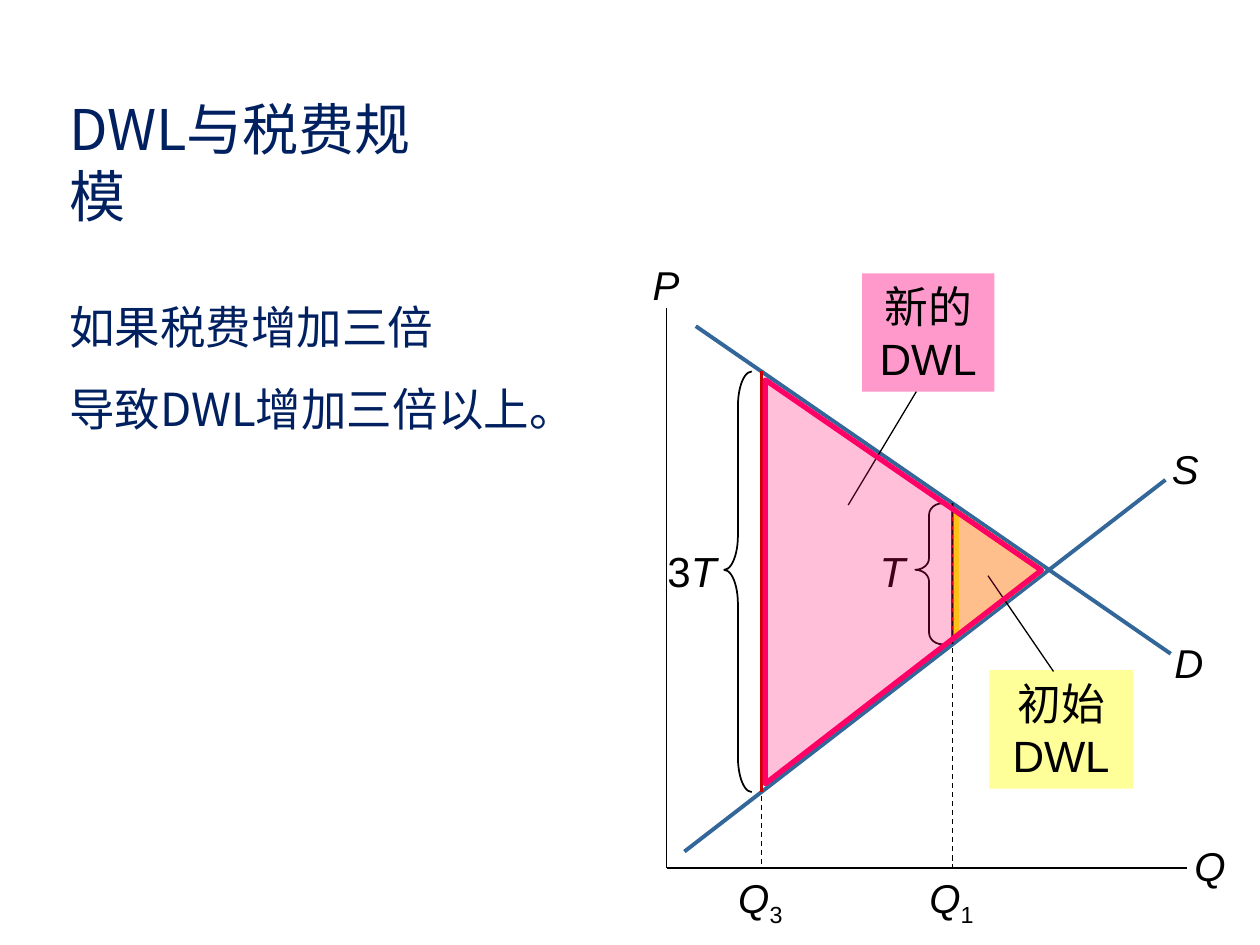
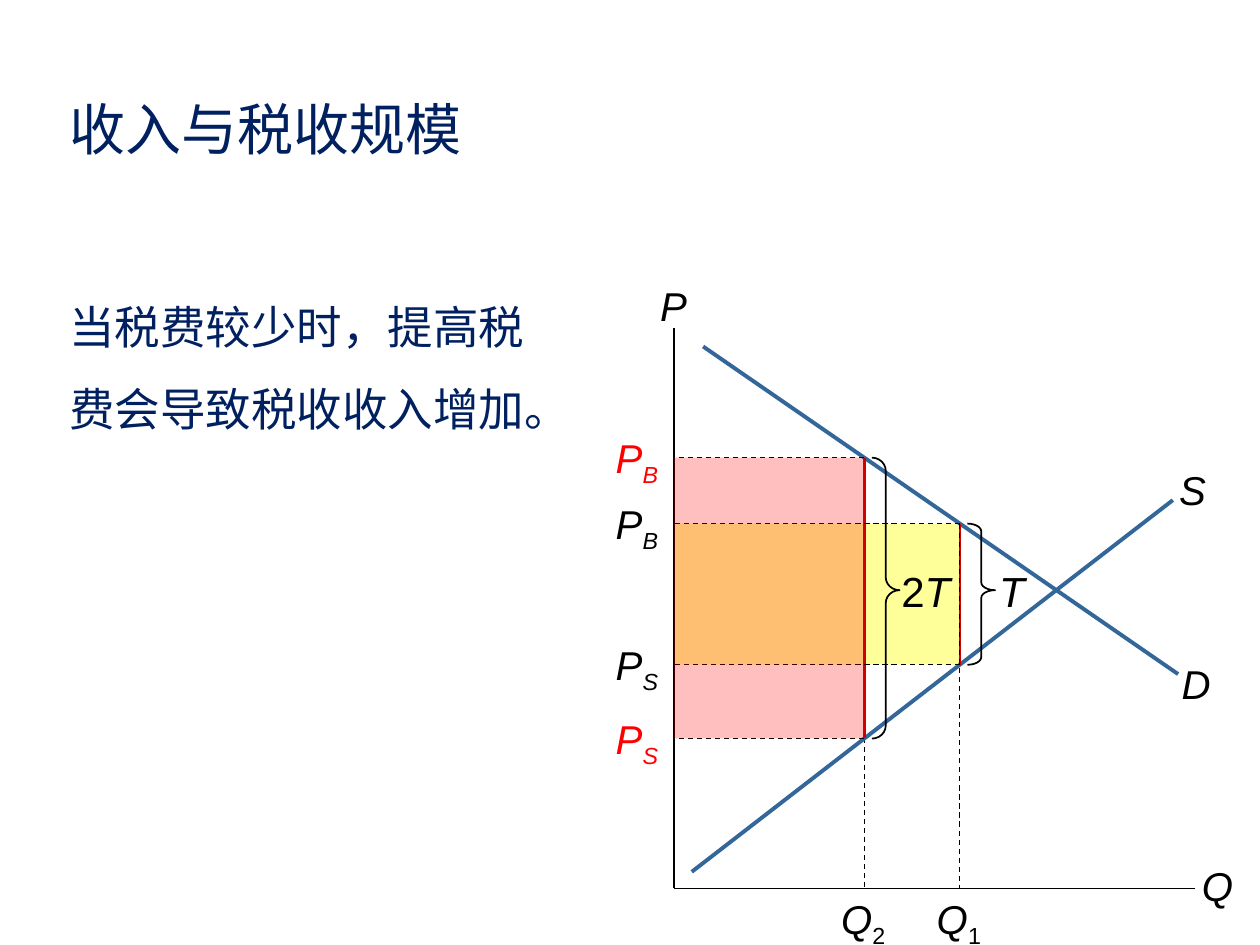
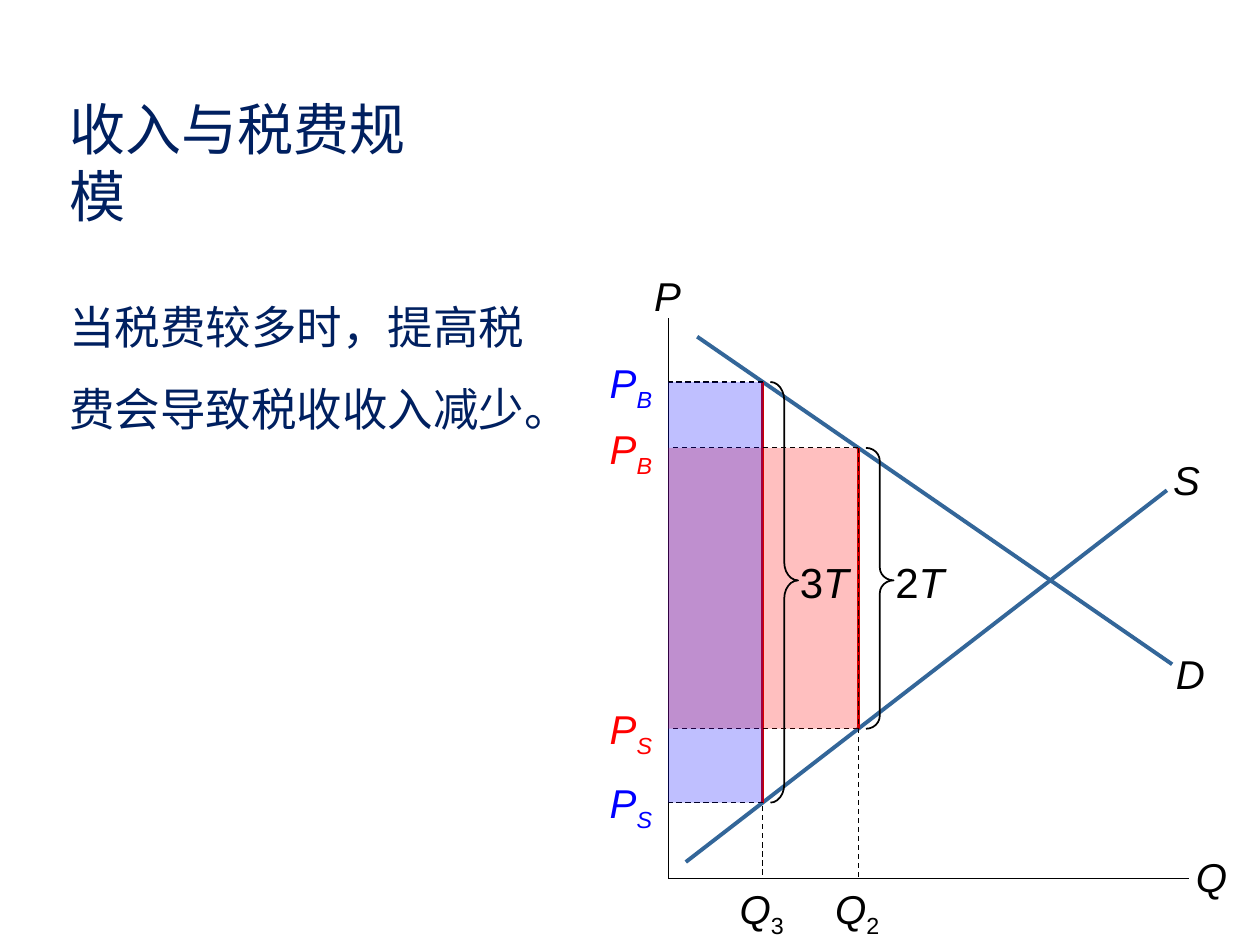
from dataclasses import dataclass
from typing import NamedTuple

from lxml import etree
from pptx import Presentation
from pptx.dml.color import RGBColor
from pptx.enum.dml import MSO_LINE
from pptx.enum.shapes import MSO_CONNECTOR, MSO_SHAPE
from pptx.enum.text import MSO_ANCHOR, MSO_AUTO_SIZE, PP_ALIGN
from pptx.oxml.ns import qn
from pptx.util import Pt

STRAIGHT = MSO_CONNECTOR.STRAIGHT
RECT, TRIANGLE, BRACE = MSO_SHAPE.RECTANGLE, MSO_SHAPE.ISOSCELES_TRIANGLE, MSO_SHAPE.LEFT_BRACE
LEFT, CENTER = PP_ALIGN.LEFT, PP_ALIGN.CENTER
TOP, GROW, DASH = MSO_ANCHOR.TOP, MSO_AUTO_SIZE.SHAPE_TO_FIT_TEXT, MSO_LINE.DASH

COLORS = {
    "navy": "002060", "black": "000000", "curve": "336699", "tax": "CC0000",
    "cream": "FFFF99", "yellow": "FFFF00", "pink": "FF99CC", "rose": "FF0066",
    "red": "FF0000", "blue": "0000FF",
}
SANS, HAN = "Arial", "Noto Sans CJK SC"
CLEAR = 25  # percent opacity of a see-through fill


class Box(NamedTuple):
    left: float
    top: float
    width: float
    height: float


class Spot(NamedTuple):
    """A point in graph units: right of and above the origin."""
    x: float
    y: float


class Run(NamedTuple):
    text: str
    italic: bool = False
    sub: bool = False


class Curve(NamedTuple):
    start: Spot
    end: Spot

    def slope(self) -> float:
        return (self.end.y - self.start.y) / (self.end.x - self.start.x)

    def price(self, x: float) -> float:
        return self.start.y + self.slope() * (x - self.start.x)


@dataclass
class Tax:
    """One tax size, with the bend of its brace and its revenue colours."""
    level: int
    bend: float
    fill: str = ""
    alpha: int = 100
    ink: str = "black"

    @property
    def x(self) -> float:
        return 163.3 - 54.6 * (self.level - 1)

    @property
    def high(self) -> float:
        return DEMAND.price(self.x)

    @property
    def low(self) -> float:
        return SUPPLY.price(self.x)


@dataclass
class Page:
    title: str
    width: float
    body: list[str]
    span: float
    origin: tuple[float, float]
    small: Tax
    large: Tax


@dataclass
class Note:
    """A coloured label with a pointer into the graph."""
    text: str
    spot: Spot
    width: float
    fill: str
    start: Spot
    end: Spot


# Graph model
DEMAND = Curve(Spot(16.6, 309.6), Spot(288, 122.4))
SUPPLY = Curve(Spot(10.1, 9.4), Spot(285, 221.8))
MEET_X = (DEMAND.price(0) - SUPPLY.price(0)) / (SUPPLY.slope() - DEMAND.slope())
MEET_Y = DEMAND.price(MEET_X)
SHARE = -DEMAND.slope() / (SUPPLY.slope() - DEMAND.slope())
WIDE, TALL = 297.5, 320
NAMES = {"P": Spot(-15.1, 350.6), "Q": Spot(294.5, 18.7),
         "D": Spot(283, 134.6), "S": Spot(281.5, 245.5)}

PAGES = [
    Page("DWL与税费规模", 222.5, ["如果税费增加三倍", "导致DWL增加三倍以上。"], 321.8,
         (381, 496), Tax(1, 0.42), Tax(3, 1.25)),
    Page("收入与税收规模", 240.5, ["当税费较少时，提高税费会导致税收收入增加。"], 297.4,
         (385.2, 507.6), Tax(1, 0.28, "cream"), Tax(2, 0.47, "red", CLEAR, "red")),
    Page("收入与税费规模", 238, ["当税费较多时，提高税费会导致税收收入减少。"], 297.4,
         (381.8, 502), Tax(2, 0.47, "red", CLEAR, "red"), Tax(3, 0.66, "blue", CLEAR, "blue")),
]
NOTES = [
    Note("初始DWL", Spot(184.3, 113), 82, "cream", Spot(221, 112.3), Spot(183.6, 167)),
    Note("新的 DWL", Spot(111.6, 339.8), 75.6, "pink", Spot(103.7, 207.4), Spot(142.6, 272.2)),
]


def color(name: str) -> RGBColor:
    return RGBColor.from_string(COLORS[name])


# Drawing helpers
def write(shape, paras: list[list[Run]], *, size: float = 23, font: str = SANS,
          ink: str = "black", align=CENTER, space: float = 1.0, fit: bool = True) -> None:
    frame = shape.text_frame
    frame.word_wrap, frame.vertical_anchor = True, TOP
    if fit:
        frame.auto_size = GROW
    for i, runs in enumerate(paras):
        para = frame.paragraphs[0] if i == 0 else frame.add_paragraph()
        para.alignment, para.line_spacing = align, space
        for part in runs:
            run = para.add_run()
            run.text = part.text
            run.font.size, run.font.name = Pt(size), font
            run.font.italic = part.italic
            run.font.color.rgb = color(ink)
            props = run.font._element
            etree.SubElement(props, qn("a:ea")).set("typeface", HAN)
            if part.sub:
                props.set("baseline", "-25000")


def label(slide, box: Box, *paras: list[Run], **form) -> None:
    write(slide.shapes.add_textbox(*map(Pt, box)), list(paras), **form)


def draw(slide, kind, box: Box, *, fill: str = "", alpha: int = 100, line: str = "",
         weight: float = 1, turn: float = 0, bends: tuple[float, ...] = ()):
    shape = slide.shapes.add_shape(kind, *map(Pt, box))
    shape.shadow.inherit = False
    shape.rotation = turn
    for i, bend in enumerate(bends):
        shape.adjustments[i] = bend
    if fill:
        shape.fill.solid()
        shape.fill.fore_color.rgb = color(fill)
        if alpha < 100:
            tint = shape.element.spPr.find(qn("a:solidFill"))[0]
            etree.SubElement(tint, qn("a:alpha")).set("val", str(alpha * 1000))
    else:
        shape.fill.background()
    if line:
        shape.line.color.rgb, shape.line.width = color(line), Pt(weight)
    else:
        shape.line.fill.background()
    return shape


@dataclass
class Graph:
    """Draws on a slide in graph units."""
    slide: object
    origin: tuple[float, float]

    def box(self, spot: Spot, width: float, height: float) -> Box:
        return Box(self.origin[0] + spot.x, self.origin[1] - spot.y, width, height)

    def line(self, start: Spot, end: Spot, ink: str = "black",
             weight: float = 0.75, dash: bool = False) -> None:
        ends = [Pt(v) for s in (start, end) for v in self.box(s, 0, 0)[:2]]
        link = self.slide.shapes.add_connector(STRAIGHT, *ends)
        link.line.color.rgb, link.line.width = color(ink), Pt(weight)
        if dash:
            link.line.dash_style = DASH
        etree.SubElement(link.element.spPr, qn("a:effectLst"))

    def name(self, spot: Spot, width: float, *runs: Run, **form) -> None:
        label(self.slide, self.box(spot, width, 34.6), list(runs), **form)

    def axes(self) -> None:
        self.line(Spot(0, TALL), Spot(0, 0))
        self.line(Spot(0, 0), Spot(WIDE, 0))
        for curve in (DEMAND, SUPPLY):
            self.line(*curve, "curve", 2.25)
        for text, spot in NAMES.items():
            self.name(spot, 28.8, Run(text, True))

    def drop(self, tax: Tax) -> None:
        self.line(Spot(tax.x, tax.high), Spot(tax.x, 0), dash=True)
        self.name(Spot(tax.x - 22.6, 0.3), 44, Run("Q", True), Run(str(tax.level), sub=True))

    def wedge(self, tax: Tax) -> None:
        self.line(Spot(tax.x, tax.low), Spot(tax.x, tax.high), "tax", 1.5)

    def prices(self, tax: Tax) -> None:
        for mark, y in (("B", tax.high), ("S", tax.low)):
            self.name(Spot(-42.2, y + 17.3), 41.8, Run("P", True), Run(mark, True, True),
                      ink=tax.ink)
            self.line(Spot(tax.x, y), Spot(0, y), dash=True)

    def income(self, tax: Tax) -> None:
        area = self.box(Spot(0, tax.high), tax.x, tax.high - tax.low)
        draw(self.slide, RECT, area, fill=tax.fill, alpha=tax.alpha)

    def brace(self, tax: Tax, right: bool) -> None:
        wide, size = 15.8, 46 if tax.level > 1 else 35.3
        left = tax.x + 4.3 if right else tax.x - 5.5 - wide
        draw(self.slide, BRACE, self.box(Spot(left, tax.high), wide, tax.high - tax.low),
             line="black", turn=180 if right else 0,
             bends=(tax.bend, 1 - SHARE if right else SHARE))
        runs = [Run(str(tax.level))] if tax.level > 1 else []
        start = left + wide - 8 if right else left + 4.6 - size
        self.name(Spot(start, MEET_Y + 17.4), size, *runs, Run("T", True), size=24)

    def loss(self, tax: Tax, **form) -> None:
        """Triangle between the wedge and the meeting point, set inside the curves."""
        left, right = tax.x + 2.2, MEET_X - 4.3
        base, depth = tax.high - tax.low - 9.6, right - left
        spot = Spot((left + right - base) / 2, (tax.high + tax.low + depth) / 2)
        draw(self.slide, TRIANGLE, self.box(spot, base, depth), turn=90,
             weight=3, bends=(SHARE,), **form)

    def note(self, note: Note) -> None:
        shape = draw(self.slide, RECT, self.box(note.spot, note.width, 67.7), fill=note.fill)
        write(shape, [[Run(note.text)]], size=25, fit=False)
        self.line(note.start, note.end)


# Slides
def start(deck, page: Page) -> Graph:
    slide = deck.slides.add_slide(deck.slide_layouts[6])
    label(slide, Box(32.4, 50.4, page.width, 46), [Run(page.title)],
          size=32, font=HAN, ink="navy", align=LEFT)
    label(slide, Box(32.4, 152, page.span, 101.5), *[[Run(t)] for t in page.body],
          size=26, font=HAN, ink="navy", align=LEFT, space=1.5)
    return Graph(slide, page.origin)


def build(deck, page: Page) -> None:
    graph, taxes = start(deck, page), (page.small, page.large)
    gains = [tax for tax in taxes if tax.fill]
    graph.drop(page.large)
    for tax in gains:
        if tax.alpha == 100:
            graph.income(tax)
    graph.axes()
    for tax in taxes:
        graph.wedge(tax)
    graph.drop(page.small)
    for tax in gains:
        graph.prices(tax)
    for tax in gains:
        if tax.alpha < 100:
            graph.income(tax)
    if not gains:
        graph.loss(page.small, fill="cream", line="yellow")
    for tax in taxes:
        graph.brace(tax, right=bool(gains))
    if not gains:
        for note in NOTES:
            graph.note(note)
        graph.loss(page.large, fill="rose", alpha=CLEAR, line="rose")


def main() -> None:
    deck = Presentation()
    deck.slide_width, deck.slide_height = Pt(720), Pt(540)
    for page in PAGES:
        build(deck, page)
    deck.save("out.pptx")


if __name__ == "__main__":
    main()
